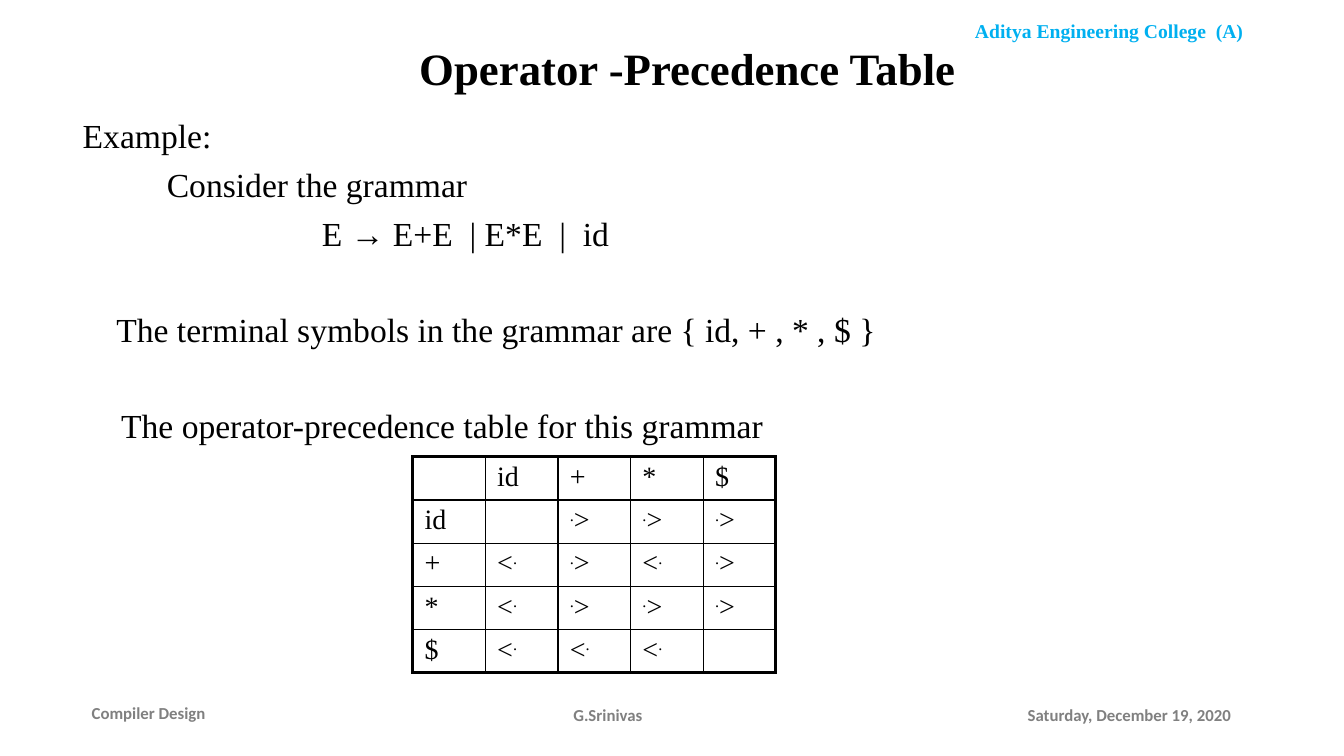
import pptx
import pptx.util
import pptx.enum.text
import pptx.dml.color
import pptx.oxml.ns
import lxml.etree

Cm = pptx.util.Cm
Pt = pptx.util.Pt
Align = pptx.enum.text.PP_ALIGN
Anchor = pptx.enum.text.MSO_ANCHOR
qn = pptx.oxml.ns.qn

COLORS = {"text": "000000", "college": "00B0F0", "footer": "808080"}
SERIF = "Times New Roman"


def write(para, text, size=24, font=SERIF, color="text", bold=False, align=None, raised=False):
    if align is not None:
        para.alignment = align
    span = para.add_run()
    span.text = text
    span.font.size = Pt(size)
    span.font.name = font
    span.font.bold = bold
    span.font.color.rgb = pptx.dml.color.RGBColor.from_string(COLORS[color])
    if raised:
        span.font._element.set("baseline", "30000")


def draw_border(cell, side, width):
    line = lxml.etree.SubElement(cell._tc.get_or_add_tcPr(), qn("a:ln" + side), w=str(Pt(width)))
    fill = lxml.etree.SubElement(line, qn("a:solidFill"))
    lxml.etree.SubElement(fill, qn("a:srgbClr"), val=COLORS["text"])


deck = pptx.Presentation()
deck.slide_width, deck.slide_height = Cm(33.87), Cm(19.05)
page = deck.slides.add_slide(deck.slide_layouts[1])

# Header and footer
labels = [
    ("Aditya Engineering College  (A)", (23.09, 0.36, 9.73, 0.86), Anchor.TOP,
     dict(size=14, color="college", align=Align.CENTER)),
    ("Saturday, December 19, 2020", (25.65, 17.63, 5.84, 1.02), Anchor.TOP, {}),
    ("G.Srinivas", (11.51, 17.63, 7.62, 1.02), Anchor.TOP, dict(align=Align.CENTER)),
    ("Compiler Design", (2.06, 17.45, 5.36, 1.02), Anchor.MIDDLE, dict(align=Align.JUSTIFY)),
]
for text, place, anchor, look in labels:
    box = page.shapes.add_textbox(*map(Cm, place))
    box.text_frame.word_wrap = True
    box.text_frame.vertical_anchor = anchor
    font = SERIF if look.get("color") == "college" else "Calibri"
    write(box.text_frame.paragraphs[0], text,
          **{"size": 12, "color": "footer", "font": font, "bold": True, **look})

# Title
title = page.shapes.title
title.left, title.top, title.width, title.height = map(Cm, (1.3, 0.43, 32.05, 2.54))
title.text_frame.auto_size = pptx.enum.text.MSO_AUTO_SIZE.NONE
title.text_frame.vertical_anchor = Anchor.MIDDLE
write(title.text_frame.paragraphs[0], "Operator -Precedence Table",
      size=32, bold=True, align=Align.CENTER)

# Body: text, left indent in cm, space before in points
body = page.placeholders[1]
body.left, body.top, body.width, body.height = map(Cm, (1.83, 2.77, 32.04, 14.17))
body.text_frame.auto_size = pptx.enum.text.MSO_AUTO_SIZE.NONE
lines = [
    ("Example:", 0, 0),
    ("Consider the grammar", 2.12, 6),
    ("E → E+E  | E*E  |  id", 6.03, 6),
    ("The terminal symbols in the grammar are { id, + , * , $ }", 0.85, 40),
    ("The operator-precedence table for this grammar", 0.97, 40),
]
for number, (text, indent, space) in enumerate(lines):
    para = body.text_frame.paragraphs[0] if number == 0 else body.text_frame.add_paragraph()
    properties = para._p.get_or_add_pPr()
    properties.set("marL", str(Cm(indent)))
    properties.set("indent", "0")
    lxml.etree.SubElement(properties, qn("a:buNone"))
    para.space_before = Pt(space)
    write(para, text)

# Precedence table
rows = [
    ["", "id", "+", "*", "$"],
    ["id", "", ".>", ".>", ".>"],
    ["+", "<.", ".>", "<.", ".>"],
    ["*", "<.", ".>", ".>", ".>"],
    ["$", "<.", "<.", "<.", ""],
]
count = len(rows)
table = page.shapes.add_table(count, count, Cm(10.4), Cm(11.51),
                              Cm(1.83 * count), Cm(1.05 * count)).table
table.first_row = table.horz_banding = False
for r, symbols in enumerate(rows):
    for c, symbol in enumerate(symbols):
        cell = table.cell(r, c)
        cell.margin_left = cell.margin_right = Cm(0.3)
        cell.margin_top = cell.margin_bottom = Cm(0.12)
        edges = {"L": c == 0, "R": c == count - 1, "T": r == 0, "B": r == count - 1}
        for side, outer in edges.items():
            draw_border(cell, side, 2.25 if outer else 1)
        cell.fill.background()
        for mark in symbol if "." in symbol else filter(None, [symbol]):
            write(cell.text_frame.paragraphs[0], mark, size=20, raised=mark == ".")

deck.save("out.pptx")
